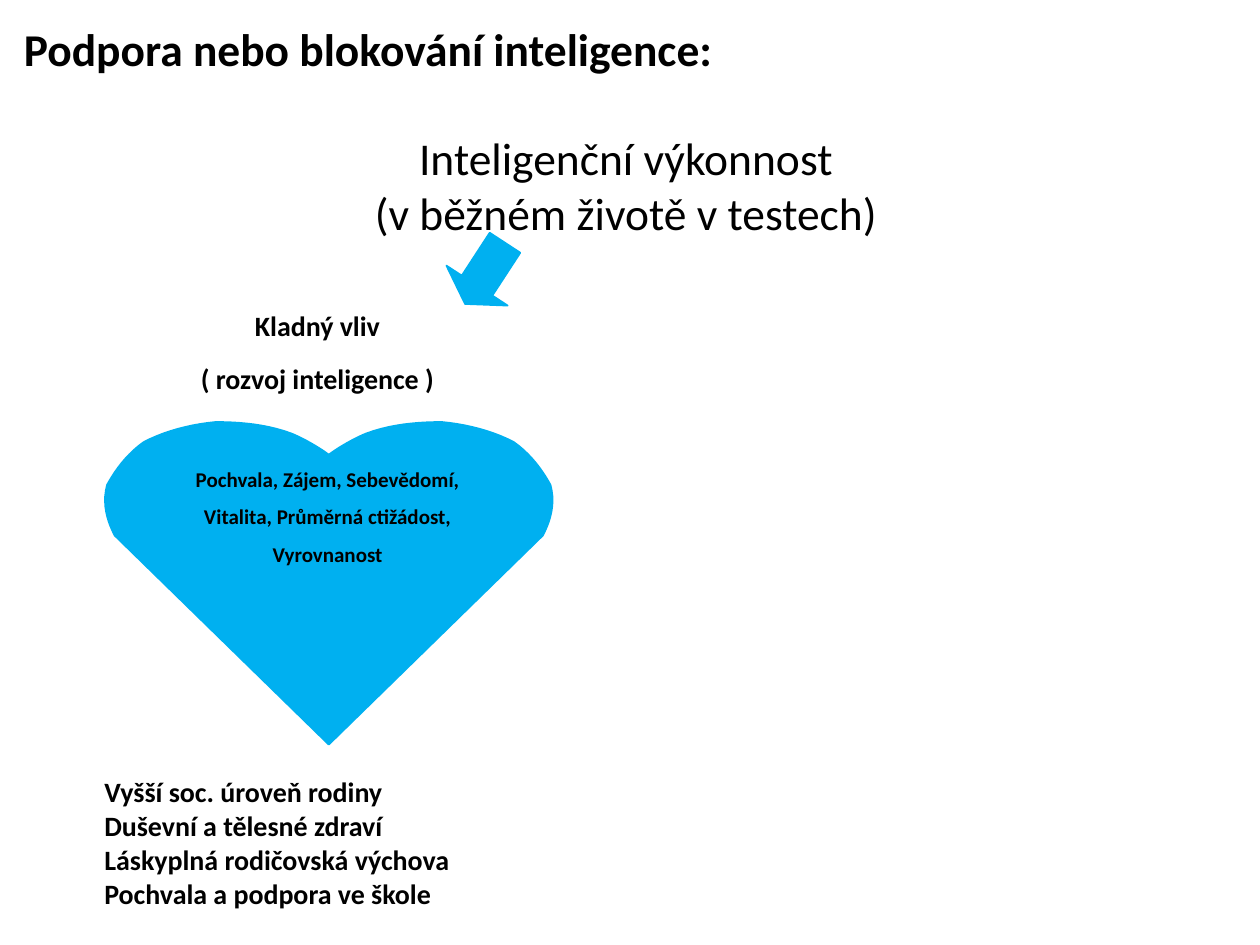
from pptx import Presentation
from pptx.dml.color import RGBColor
from pptx.enum.shapes import MSO_SHAPE as SHAPE
from pptx.enum.text import MSO_ANCHOR as ANCHOR, PP_ALIGN as ALIGN
from pptx.util import Inches, Pt

BLUE, BLACK, WHITE = "00B0F0", "000000", "FFFFFF"


def paint(shape, color, outlined=False):
    shape.shadow.inherit = False
    shape.fill.solid()
    shape.fill.fore_color.rgb = RGBColor.from_string(color)
    if outlined:
        shape.line.color.rgb = RGBColor.from_string(color)
        shape.line.width = Pt(1)
    else:
        shape.line.fill.background()


def write(shape, lines, size, align, bold=True, margin=None, wrap=True):
    """Fill the shape with one paragraph per line and return the paragraphs."""
    frame = shape.text_frame
    frame.text = "\n".join(lines)
    frame.word_wrap = wrap
    frame.vertical_anchor = ANCHOR.TOP
    if margin is not None:
        frame.margin_left = frame.margin_right = Inches(margin)
        frame.margin_top = frame.margin_bottom = Inches(margin)
    for paragraph in frame.paragraphs:
        paragraph.alignment = align
        for run in paragraph.runs:
            run.font.name = "Calibri"
            run.font.size = Pt(size)
            run.font.bold = bold
            run.font.color.rgb = RGBColor.from_string(BLACK)
    return frame.paragraphs


prs = Presentation()
prs.slide_width, prs.slide_height = Inches(10), Inches(7.5)
shapes = prs.slides.add_slide(prs.slide_layouts[6]).shapes

# Heading and topic
heading = shapes.add_textbox(Inches(0.19), Inches(0.17), Inches(9.56), Inches(7.17))
title, topic, context = write(
    heading,
    ["Podpora nebo blokování inteligence:", "Inteligenční výkonnost",
     "(v běžném životě v testech)"],
    26, ALIGN.CENTER, bold=False, margin=0)
title.alignment = ALIGN.LEFT
title.runs[0].font.bold = True
topic.space_before = Pt(31)

# Heart: the left half as Bézier curves, mirrored to the right
center_x, notch_y, tip_y = 2.61, 3.61, 5.91
left_curves = [
    [(2.55, 3.56), (2.39, 3.47), (2.31, 3.44)],
    [(2.12, 3.37), (1.92, 3.35), (1.71, 3.35)],
    [(1.51, 3.37), (1.31, 3.42), (1.14, 3.51)],
    [(1.00, 3.61), (0.91, 3.74), (0.85, 3.85)],
    [(0.81, 4.00), (0.85, 4.13), (0.91, 4.25)],
]
steps = 10
left_half = [(center_x, notch_y)]
for control_1, control_2, end in left_curves:
    start = left_half[-1]
    for step in range(1, steps + 1):
        t = step / steps
        weights = ((1 - t) ** 3, 3 * t * (1 - t) ** 2, 3 * t ** 2 * (1 - t), t ** 3)
        corners = (start, control_1, control_2, end)
        left_half.append(tuple(
            sum(w * corner[axis] for w, corner in zip(weights, corners))
            for axis in (0, 1)))
right_half = [(2 * center_x - x, y) for x, y in reversed(left_half)]
outline = [(Inches(x), Inches(y))
           for x, y in left_half + [(center_x, tip_y)] + right_half[:-1]]
builder = shapes.build_freeform(*outline[0])
builder.add_line_segments(outline[1:], close=True)
paint(builder.convert_to_shape(), BLUE, outlined=True)

traits = shapes.add_shape(
    SHAPE.RECTANGLE, Inches(1.31), Inches(3.6), Inches(2.58), Inches(0.91))
paint(traits, BLUE)
traits_text, = write(
    traits,
    ["Pochvala, Zájem, Sebevědomí, Vitalita, Průměrná ctižádost, Vyrovnanost"],
    12, ALIGN.CENTER, margin=0)
traits_text.line_spacing = 1.5

# Arrow from the topic to the positive influence
arrow = shapes.add_shape(
    SHAPE.DOWN_ARROW, Inches(3.56), Inches(1.88), Inches(0.58), Inches(0.58))
arrow.rotation = 33.1
arrow.adjustments[0], arrow.adjustments[1] = 0.5, 0.3
paint(arrow, BLUE, outlined=True)

influence = shapes.add_shape(
    SHAPE.RECTANGLE, Inches(1.48), Inches(2.4), Inches(2.08), Inches(0.79))
paint(influence, WHITE)
_, effect = write(influence, ["Kladný vliv", "( rozvoj inteligence )"],
                  16, ALIGN.CENTER, wrap=False)
effect.space_before = Pt(11)

# Supporting factors
factors = shapes.add_shape(
    SHAPE.RECTANGLE, Inches(0.73), Inches(6.19), Inches(4), Inches(1.14))
paint(factors, WHITE)
factor_lines = write(
    factors,
    ["Vyšší soc. úroveň rodiny", "Duševní a tělesné zdraví",
     "Láskyplná rodičovská výchova", "Pochvala a podpora ve škole"],
    16, ALIGN.LEFT)
for factor in factor_lines:
    factor.line_spacing = 0.6
    factor.space_before = Pt(8)

prs.save("out.pptx")
